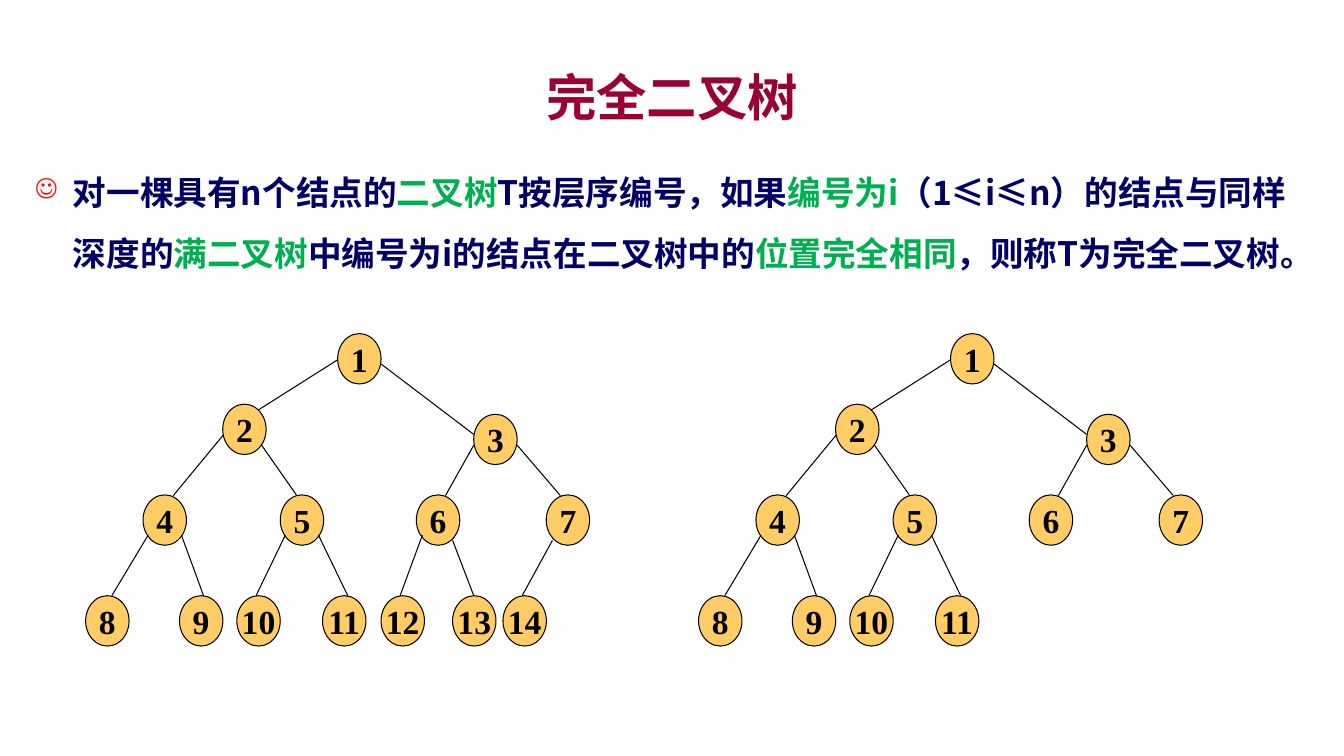
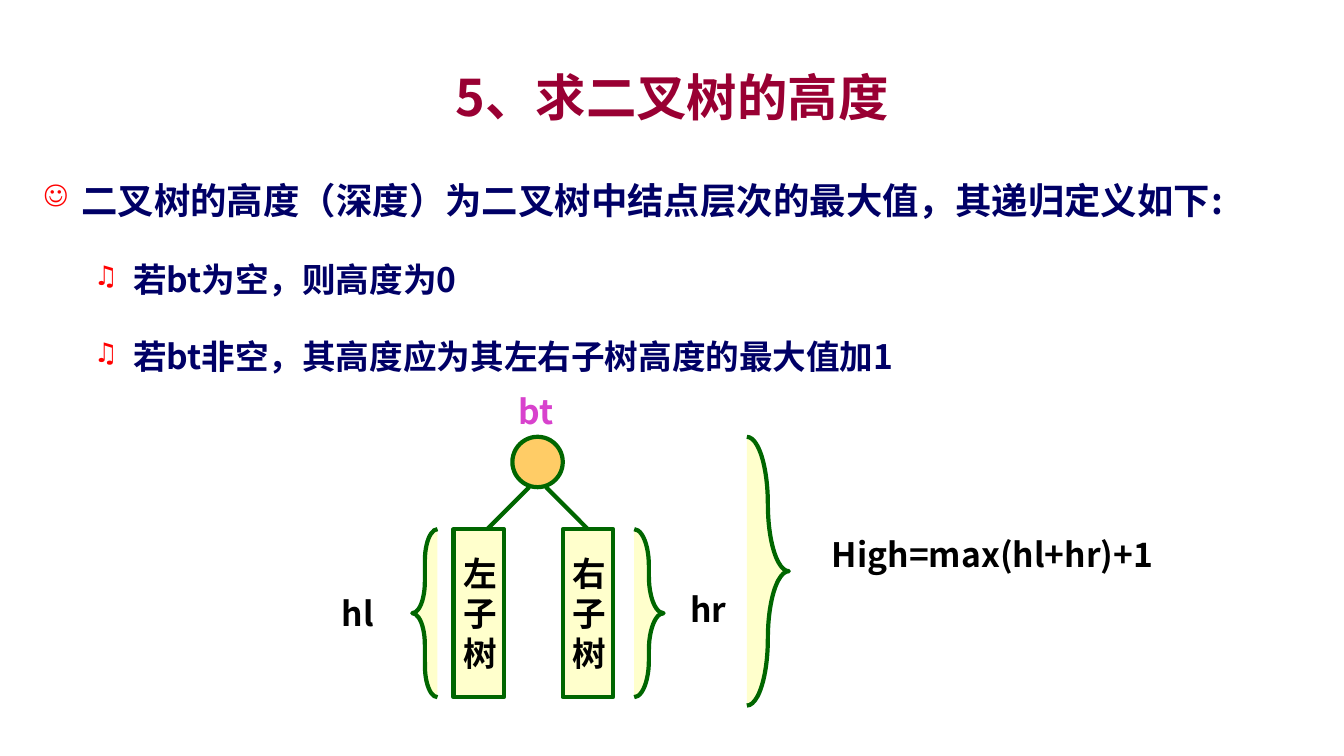
from typing import NamedTuple, Optional

from lxml.etree import SubElement
from pptx import Presentation
from pptx.dml.color import RGBColor
from pptx.enum.shapes import MSO_CONNECTOR, MSO_SHAPE
from pptx.enum.text import MSO_ANCHOR, PP_ALIGN
from pptx.oxml.ns import qn
from pptx.shapes.autoshape import Shape
from pptx.shapes.connector import Connector
from pptx.slide import Slide
from pptx.text.text import TextFrame, _Paragraph as Para
from pptx.util import Pt

# Shared look
SANS, SERIF = "Noto Sans CJK SC", "Times New Roman"
BLACK = RGBColor(0, 0, 0)
WINE = RGBColor(0x99, 0, 0x33)
NAVY = RGBColor(0, 0, 0x66)
GREEN = RGBColor(0, 0xB0, 0x50)
FOREST = RGBColor(0, 0x66, 0)
GOLD = RGBColor(0xFF, 0xCC, 0x66)
CREAM = RGBColor(0xFF, 0xFF, 0xCC)
PINK = RGBColor(0xD8, 0x42, 0xCD)
RED = "FF0000"


class Box(NamedTuple):
    left: float
    top: float
    width: float
    height: float


class Point(NamedTuple):
    x: float
    y: float


class Node(NamedTuple):
    key: int
    left: float
    top: float
    start: Optional[Point] = None  # line from the parent node
    end: Optional[Point] = None


class Item(NamedTuple):
    texts: list[str]  # every second text is green
    size: float
    mark: str
    margin: float
    hang: float


class Label(NamedTuple):
    text: str
    box: Box
    color: RGBColor = BLACK
    align: PP_ALIGN = PP_ALIGN.LEFT


class Figure(NamedTuple):
    kind: MSO_SHAPE
    box: Box
    fill: RGBColor = CREAM
    curve: Optional[float] = None


# Text and shape helpers
def style(para: Para, size: float, color: RGBColor, face: str = SANS) -> None:
    font = para.font
    font.size, font.bold, font.name = Pt(size), True, face
    font.color.rgb = color
    props = para._p.get_or_add_pPr().find(qn("a:defRPr"))
    SubElement(props, qn("a:ea")).set("typeface", face)


def area(slide: Slide, box: Box) -> TextFrame:
    frame = slide.shapes.add_textbox(*map(Pt, box)).text_frame
    frame.word_wrap = True
    return frame


def write(slide: Slide, label: Label, size: float = 24) -> TextFrame:
    frame = area(slide, label.box)
    para = frame.paragraphs[0]
    para.text, para.alignment = label.text, label.align
    style(para, size, label.color)
    return frame


def title(slide: Slide, text: str) -> None:
    label = Label(text, Box(72, 42, 816, 54), WINE, PP_ALIGN.CENTER)
    write(slide, label, 36).vertical_anchor = MSO_ANCHOR.MIDDLE


def body(slide: Slide, box: Box, items: list[Item]) -> None:
    frame = area(slide, box)
    for rank, item in enumerate(items):
        para = frame.add_paragraph() if rank else frame.paragraphs[0]
        props = para._p.get_or_add_pPr()
        props.set("marL", str(Pt(item.margin)))
        props.set("indent", str(Pt(-item.hang)))
        tint = SubElement(props, qn("a:buClr"))
        SubElement(tint, qn("a:srgbClr")).set("val", RED)
        SubElement(props, qn("a:buSzPct")).set("val", "80000")
        SubElement(props, qn("a:buChar")).set("char", item.mark)
        para.line_spacing = 1.5
        para.space_before, para.space_after = Pt(6 if rank else 0), Pt(6)
        style(para, item.size, NAVY)
        for spot, text in enumerate(item.texts):
            run = para.add_run()
            run.text = text
            if spot % 2:
                run.font.color.rgb = GREEN


def draw(shapes, figure: Figure, line: RGBColor, width: float) -> Shape:
    shape = shapes.add_shape(figure.kind, *map(Pt, figure.box))
    shape.shadow.inherit = False
    shape.fill.solid()
    shape.fill.fore_color.rgb = figure.fill
    shape.line.color.rgb, shape.line.width = line, Pt(width)
    if figure.curve is not None:
        shape.adjustments[0] = figure.curve
    return shape


def fill(shape: Shape, lines: list[str], face: str, align: PP_ALIGN) -> None:
    frame = shape.text_frame
    frame.word_wrap = False
    frame.vertical_anchor = MSO_ANCHOR.MIDDLE
    for rank, text in enumerate(lines):
        para = frame.add_paragraph() if rank else frame.paragraphs[0]
        para.text, para.alignment = text, align
        style(para, 24, BLACK, face)


def link(shapes, start: Point, end: Point, color: RGBColor,
         width: float) -> Connector:
    line = shapes.add_connector(MSO_CONNECTOR.STRAIGHT, *map(Pt, start + end))
    line.line.color.rgb, line.line.width = color, Pt(width)
    SubElement(line._element.spPr, qn("a:effectLst"))
    return line


# Binary tree
ROW3, ROW4 = 353.5, 425.5
NODES = [
    Node(1, 241.2, 238.3),
    Node(2, 159.1, 288.7, Point(241.2, 257), Point(184.3, 293)),
    Node(3, 338.4, 295.9, Point(272.2, 260), Point(338.4, 310.3)),
    Node(4, 102.2, ROW3, Point(159.3, 311), Point(123.8, 354)),
    Node(5, 200.2, ROW3, Point(186.5, 317.5), Point(211.7, ROW3)),
    Node(6, 297.4, ROW3, Point(338.4, 318), Point(318.2, 354)),
    Node(7, 390.2, ROW3, Point(369.4, 318), Point(400.3, 354)),
    Node(8, 61.2, ROW4, Point(105.8, 382.3), Point(79.9, ROW4)),
    Node(9, 128.2, ROW4, Point(129.6, 382.3), Point(145.4, ROW4)),
    Node(10, 169.2, ROW4, Point(203.8, 382.3), Point(182.9, ROW4)),
    Node(11, 230.4, ROW4, Point(227.5, 382.3), Point(248.4, ROW4)),
    Node(12, 272.2, ROW4, Point(301.7, 382.3), Point(285.8, ROW4)),
    Node(13, 323.3, ROW4, Point(323.3, 386), Point(338.4, ROW4)),
    Node(14, 359.3, ROW4, Point(394.6, 386), Point(373, ROW4)),
]


def tree(slide: Slide, count: int, shift: float) -> None:
    shapes = slide.shapes.add_group_shape().shapes
    for node in NODES[:count]:
        box = Box(node.left + shift, node.top, 31, 36)
        oval = draw(shapes, Figure(MSO_SHAPE.OVAL, box, GOLD), BLACK, 0.75)
        fill(oval, [str(node.key)], SERIF, PP_ALIGN.CENTER)
    for node in NODES[:count]:
        if node.start and node.end:
            start, end = (Point(spot.x + shift, spot.y)
                          for spot in (node.start, node.end))
            link(shapes, start, end, BLACK, 0.75)


# Slide 1: complete binary tree
def whole(slide: Slide) -> None:
    title(slide, "完全二叉树")
    texts = ["对一棵具有n个结点的", "二叉树", "T按层序编号，如果", "编号为i",
             "（1≤i≤n）的结点与同样深度的", "满二叉树",
             "中编号为i的结点在二叉树中的", "位置完全相同",
             "，则称T为完全二叉树。"]
    body(slide, Box(18, 105, 924, 96), [Item(texts, 24, "☺", 27, 27)])
    tree(slide, 14, 0)
    tree(slide, 11, 437.8)


# Slide 2: height of a tree
def height(slide: Slide) -> None:
    title(slide, "5、求二叉树的高度")
    lead = "二叉树的高度（深度）为二叉树中结点层次的最大值，其递归定义如下:"
    cases = ["若bt为空，则高度为0", "若bt非空，其高度应为其左右子树高度的最大值加1"]
    body(slide, Box(24, 108, 912, 408),
         [Item([lead], 26, "☺", 27, 27)]
         + [Item([case], 24, "♫", 64, 28) for case in cases])

    # Root and its two subtrees
    shapes = slide.shapes
    draw(shapes, Figure(MSO_SHAPE.OVAL, Box(366, 312, 36, 36), GOLD),
         FOREST, 3)
    sides = []
    for side, left in (("左", 324), ("右", 402)):
        figure = Figure(MSO_SHAPE.RECTANGLE, Box(left, 378, 36, 120))
        rect = draw(shapes, figure, FOREST, 3)
        fill(rect, [side, "子", "树"], SANS, PP_ALIGN.LEFT)
        sides.append(rect)
    link(shapes, Point(378, 348), Point(348, 378), FOREST, 3)
    right = link(shapes, Point(390, 348), Point(420, 378), FOREST, 3)
    right.end_connect(sides[1], 0)

    # Braces and labels
    for brace in (
        Figure(MSO_SHAPE.LEFT_BRACE, Box(294.5, 378, 18, 120), curve=1.25),
        Figure(MSO_SHAPE.RIGHT_BRACE, Box(453, 378, 21, 120), curve=1.25),
        Figure(MSO_SHAPE.RIGHT_BRACE, Box(533.5, 312, 30, 192), curve=2.33),
    ):
        draw(shapes, brace, FOREST, 3)
    for label in (
        Label("bt", Box(363.5, 276, 48, 36), PINK),
        Label("hl", Box(237, 420, 42, 36)),
        Label("hr", Box(486, 417, 42, 36)),
        Label("High=max(hl+hr)+1", Box(565, 378, 288, 36),
              align=PP_ALIGN.CENTER),
    ):
        write(slide, label)


def main() -> None:
    deck = Presentation()
    deck.slide_width, deck.slide_height = Pt(960), Pt(540)
    for build in (whole, height):
        build(deck.slides.add_slide(deck.slide_layouts[6]))
    deck.save("out.pptx")


if __name__ == "__main__":
    main()
